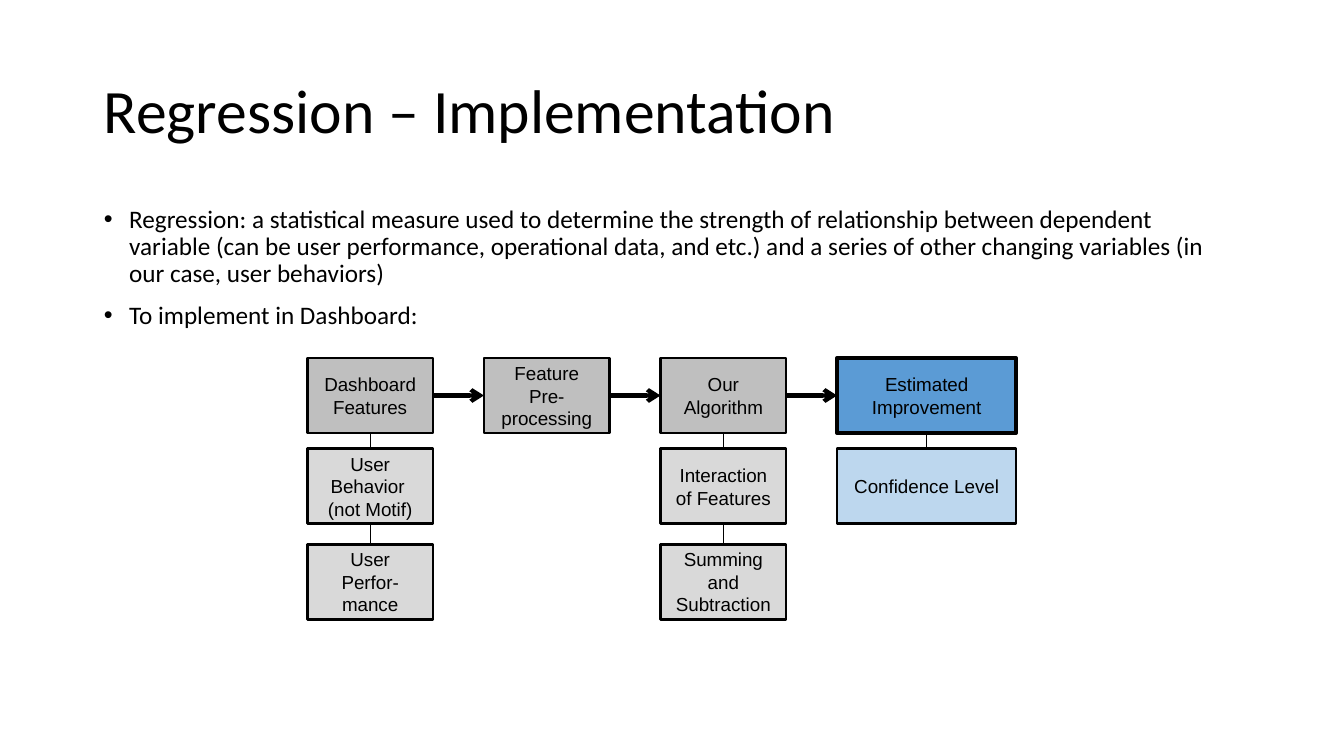
import pptx
import pptx.util
import pptx.dml.color
import pptx.enum.shapes
import pptx.enum.text
import pptx.oxml.ns
from lxml import etree

Inches, Pt = pptx.util.Inches, pptx.util.Pt
ANCHOR, ALIGN = pptx.enum.text.MSO_ANCHOR, pptx.enum.text.PP_ALIGN

COLORS = {
    "ink": "000000",
    "step": "BFBFBF",
    "detail": "D9D9D9",
    "result": "5B9BD5",
    "confidence": "BDD7EE",
}
TITLE_FONT = {"name": "Calibri", "size": Pt(36.7)}
BODY_FONT = {"name": "Calibri", "size": Pt(15)}
BOX_FONT = {"name": "Arial", "size": Pt(11.2)}
FRAME = {
    "word_wrap": True,
    "margin_left": Inches(0.1),
    "margin_right": Inches(0.1),
    "margin_top": Inches(0.05),
    "margin_bottom": Inches(0.05),
}

BULLETS = [
    "Regression: a statistical measure used to determine the strength of relationship "
    "between dependent variable (can be user performance, operational data, and etc.) "
    "and a series of other changing variables (in our case, user behaviors)",
    "To implement in Dashboard:",
]
# Each column: box width, then its boxes from top to bottom (text, fill, line width)
FLOW = [
    (1.04, [("Dashboard Features", "step", 1.5),
            ("User Behavior \n(not Motif)", "detail", 1.5),
            ("User Perfor-mance", "detail", 1.5)]),
    (1.04, [("Feature Pre-processing", "step", 1.5)]),
    (1.04, [("Our Algorithm", "step", 1.5),
            ("Interaction of Features", "detail", 1.5),
            ("Summing and Subtraction", "detail", 1.5)]),
    (1.48, [("Estimated Improvement", "result", 2.25),
            ("Confidence Level", "confidence", 1.5)]),
]
COLUMN_PITCH = 1.46
ROW_OFFSETS = (0, 0.75, 1.54)
BOX_HEIGHT = 0.62


def rgb(name):
    return pptx.dml.color.RGBColor.from_string(COLORS[name])


def apply(target, values):
    for name, value in values.items():
        setattr(target, name, value)


def add_bullet(para):
    properties = para._p.get_or_add_pPr()
    properties.set("marL", str(Inches(0.21)))
    properties.set("indent", str(-Inches(0.21)))
    for tag, attribute, value in (("a:buFont", "typeface", "Arial"), ("a:buChar", "char", "•")):
        etree.SubElement(properties, pptx.oxml.ns.qn(tag)).set(attribute, value)


def fill_text(frame, lines, font, layout, anchor, bulleted=False):
    apply(frame, {**FRAME, "vertical_anchor": anchor})
    for index, line in enumerate(lines):
        para = frame.add_paragraph() if index else frame.paragraphs[0]
        if bulleted:
            add_bullet(para)
        apply(para, layout)
        if bulleted and index:
            para.space_before = Pt(8.3)
        span = para.add_run()
        span.text = line
        apply(span.font, font)
        span.font.color.rgb = rgb("ink")


def add_title(page, left, top, width, height):
    box = page.shapes.add_textbox(*map(Inches, (left, top, width, height)))
    fill_text(box.text_frame, ["Regression – Implementation"], TITLE_FONT,
              {"line_spacing": 0.9}, ANCHOR.MIDDLE)


def add_body(page, left, top, width, height):
    box = page.shapes.add_textbox(*map(Inches, (left, top, width, height)))
    fill_text(box.text_frame, BULLETS, BODY_FONT,
              {"line_spacing": 0.9}, ANCHOR.TOP, bulleted=True)


def add_box(page, left, top, width, text, color, line_width):
    box = page.shapes.add_shape(pptx.enum.shapes.MSO_SHAPE.RECTANGLE,
                                *map(Inches, (left, top, width, BOX_HEIGHT)))
    box.shadow.inherit = False
    box.fill.solid()
    box.fill.fore_color.rgb = rgb(color)
    box.line.color.rgb = rgb("ink")
    box.line.width = Pt(line_width)
    fill_text(box.text_frame, text.split("\n"), BOX_FONT,
              {"alignment": ALIGN.CENTER}, ANCHOR.MIDDLE)
    return box


def join(page, start, start_side, end, end_side, width, arrow=False):
    link = page.shapes.add_connector(pptx.enum.shapes.MSO_CONNECTOR.STRAIGHT, 0, 0, 0, 0)
    link.begin_connect(start, start_side)
    link.end_connect(end, end_side)
    link.line.color.rgb = rgb("ink")
    link.line.width = Pt(width)
    if arrow:
        outline = link.line._get_or_add_ln()
        etree.SubElement(outline, pptx.oxml.ns.qn("a:tailEnd")).set("type", "arrow")
    etree.SubElement(link._element.spPr, pptx.oxml.ns.qn("a:effectLst"))


def add_flow(page, left, top):
    """Draw the steps as columns, joined by arrows, with details hanging below."""
    previous = None
    for index, (width, entries) in enumerate(FLOW):
        boxes = [add_box(page, left + index * COLUMN_PITCH, top + offset, width, *entry)
                 for offset, entry in zip(ROW_OFFSETS, entries)]
        for upper, lower in zip(boxes, boxes[1:]):
            join(page, upper, 2, lower, 0, 0.5)
        if previous is not None:
            join(page, previous, 3, boxes[0], 1, 2.5, arrow=True)
        previous = boxes[0]


def main():
    deck = pptx.Presentation()
    deck.slide_width, deck.slide_height = Inches(11.11), Inches(6.25)
    page = deck.slides.add_slide(deck.slide_layouts[6])
    add_title(page, 0.76, 0.33, 9.56, 1.21)
    add_body(page, 0.76, 1.66, 9.56, 3.97)
    add_flow(page, 2.54, 2.96)
    deck.save("out.pptx")


if __name__ == "__main__":
    main()
